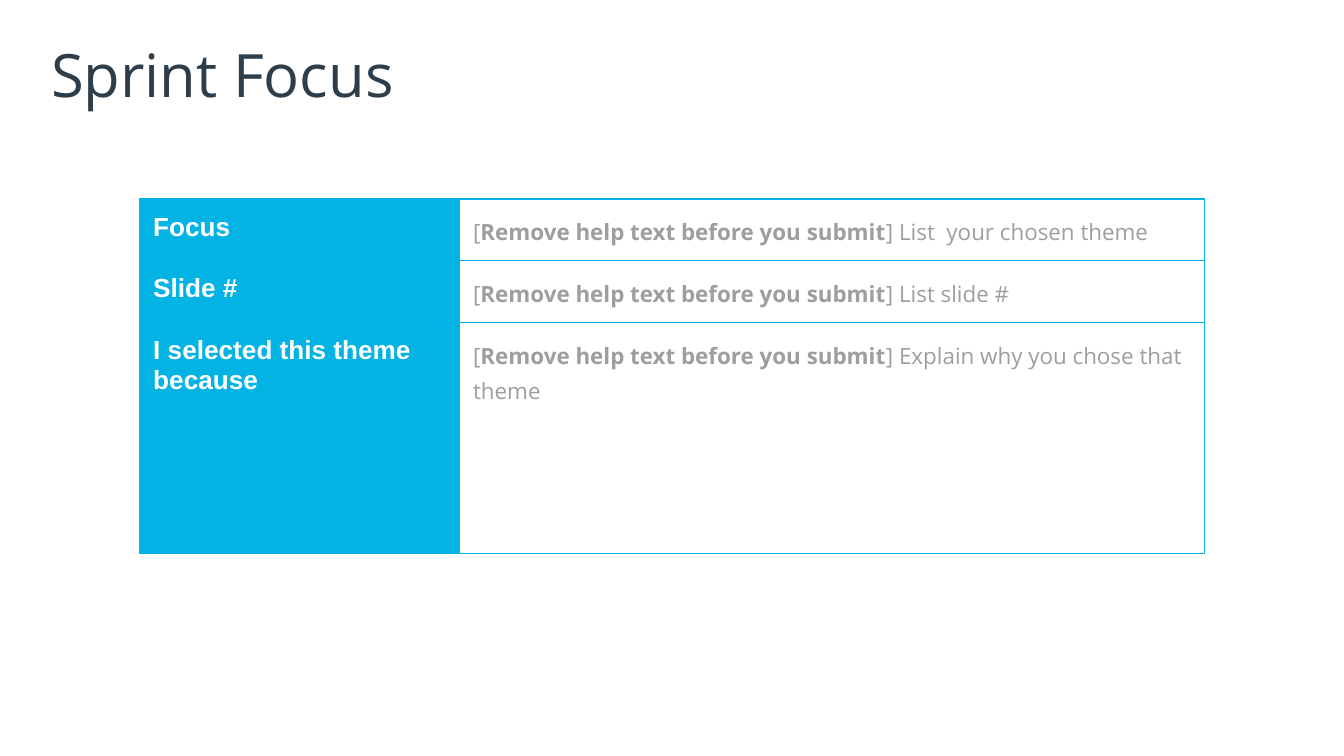
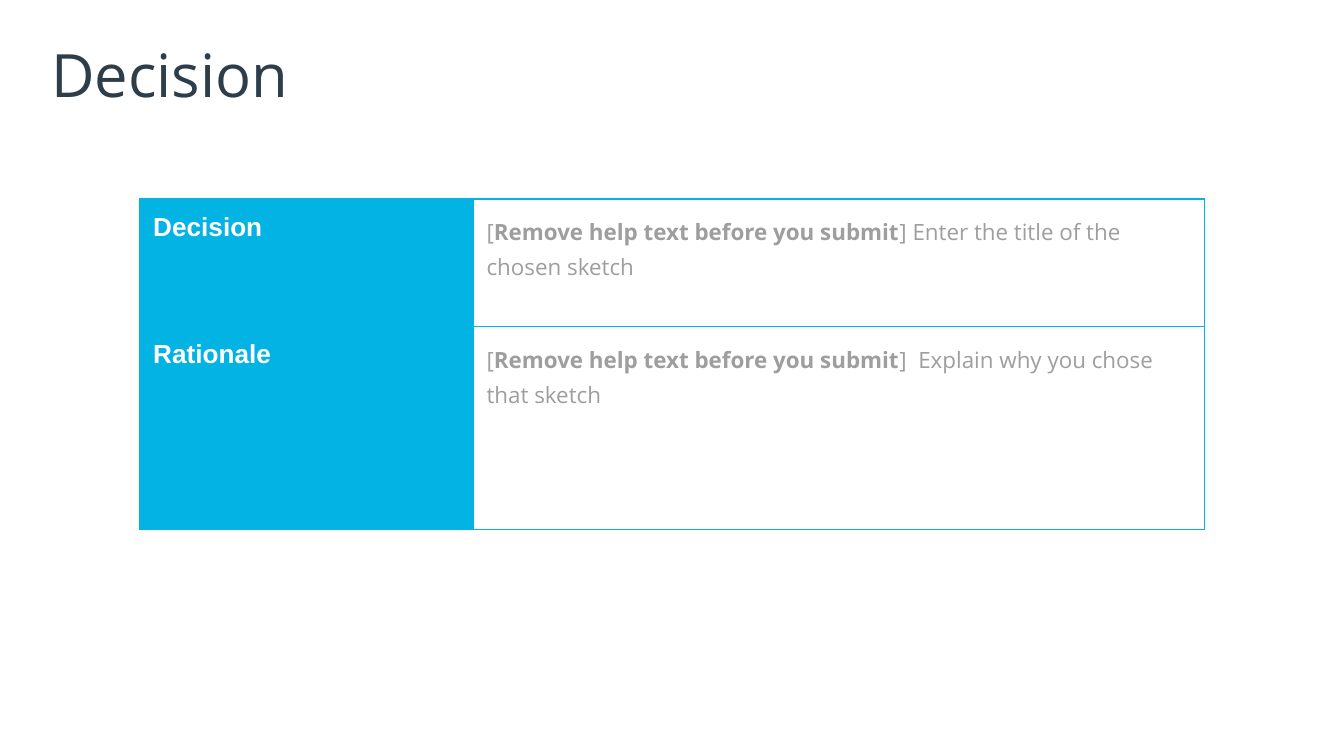
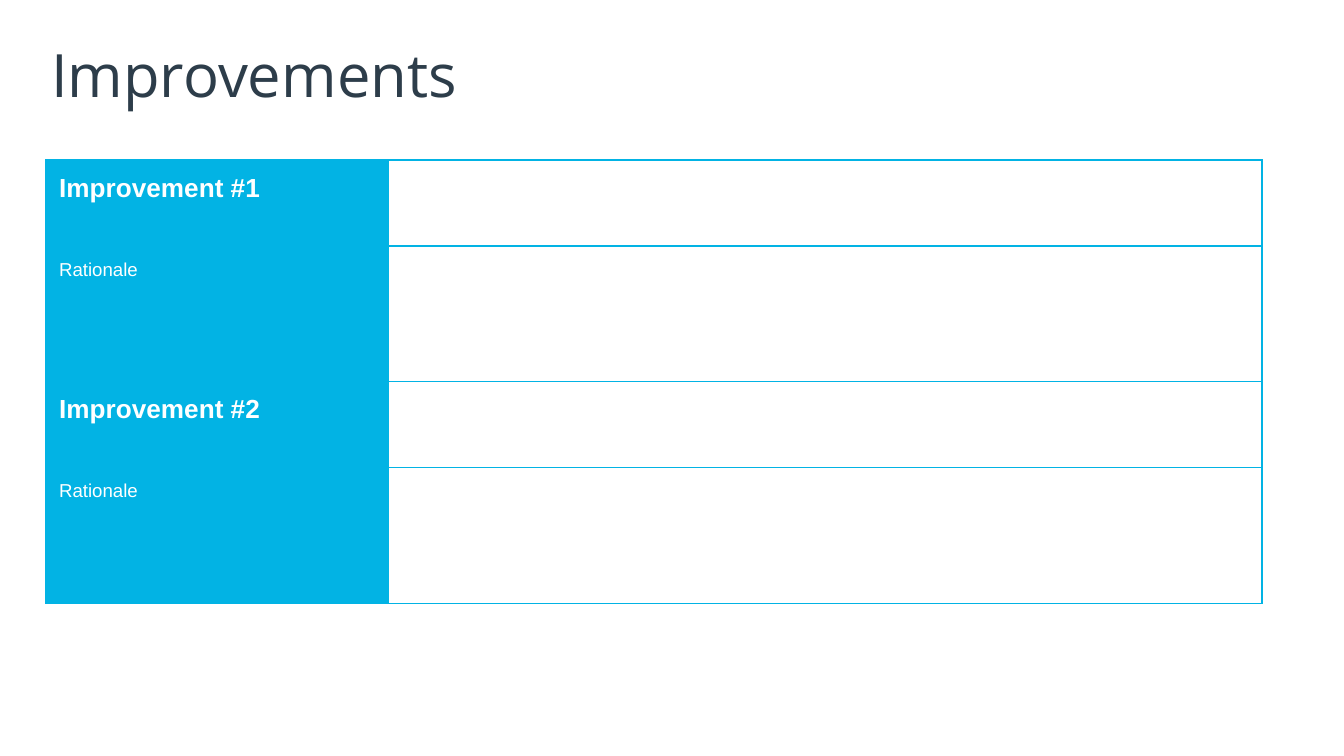
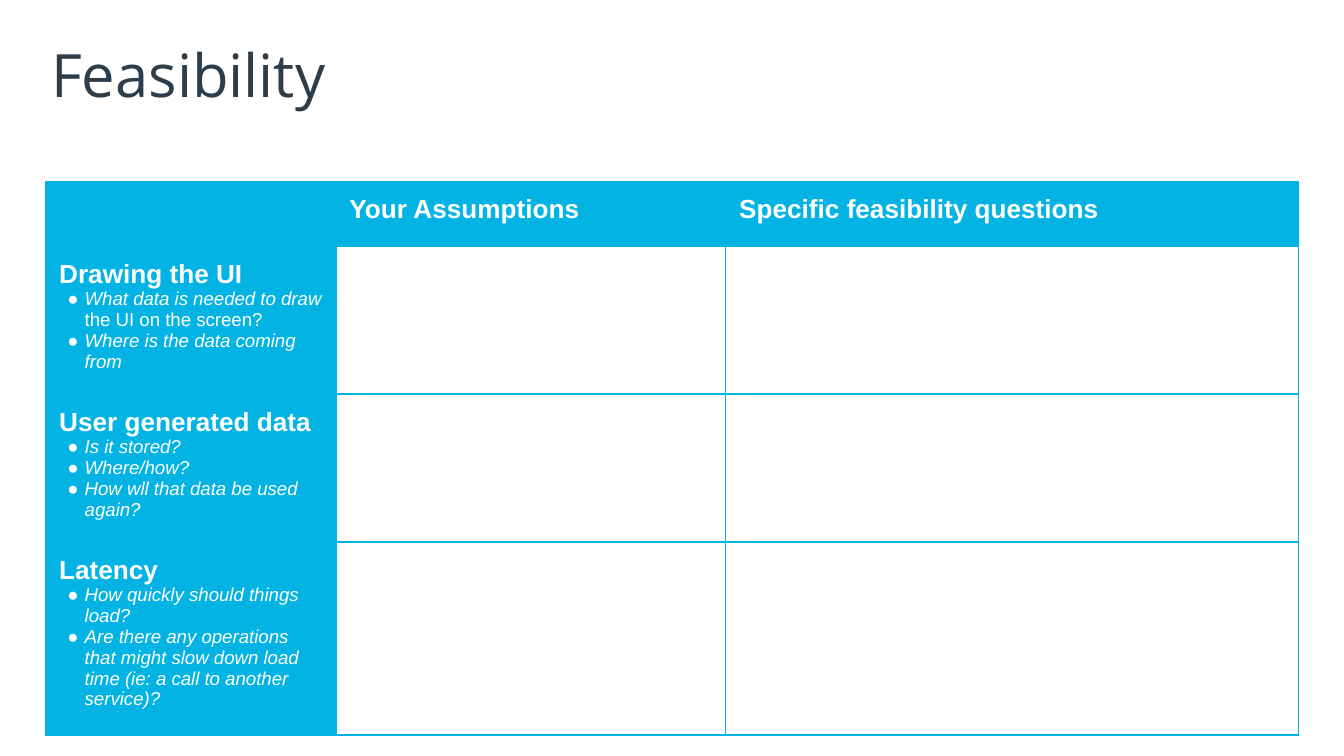
import pptx
import pptx.dml.color
import pptx.enum.text
import pptx.oxml
import pptx.oxml.ns
import pptx.util

Inches = pptx.util.Inches
COLORS = {"title": "2D3D4A", "accent": "02B3E4", "white": "FFFFFF", "help": "9E9E9E"}

# Text styles
TITLE = dict(size=32, font="Open Sans", color="title")
HEADING = dict(size=14, bold=True)
DETAIL = dict(size=10)
QUESTION = dict(size=10, italic=True)
HELP = dict(size=12, font="Open Sans", color="help")
HELP_BOLD = dict(HELP, bold=True)


def write(paragraph, text, size, font="Arial", color="white", bold=False, italic=False):
    run = paragraph.add_run()
    run.text = text
    run.font.size = pptx.util.Pt(size)
    run.font.name = font
    run.font.bold = bold
    run.font.italic = italic
    run.font.color.rgb = pptx.dml.color.RGBColor.from_string(COLORS[color])


def add_properties(parent, position, xml):
    namespace = pptx.oxml.ns.nsdecls("a")
    parent.insert(position, pptx.oxml.parse_xml(xml.replace("XMLNS", namespace, 1)))


# Cells: each is a list of paragraphs, each paragraph a list of (style, text) runs
HEAD = {
    name: [[(HEADING, name)]]
    for name in ("Focus", "Slide #", "I selected this theme because", "Decision", "Rationale",
                 "Improvement #1", "Improvement #2", "Your Assumptions",
                 "Specific feasibility questions")
}
RATIONALE = [[(DETAIL, "Rationale")]]
HINT = {
    name: [[(HELP, "["), (HELP_BOLD, "Remove help text before you submit"), (HELP, "] " + name)]]
    for name in ("List  your chosen theme", "List slide #", "Explain why you chose that theme",
                 "Enter the title of the chosen sketch", " Explain why you chose that sketch")
}
DRAWING = [
    [(HEADING, "Drawing the UI")],
    [(QUESTION, "What data is needed to draw "), (DETAIL, "the UI on the screen?")],
    [(QUESTION, "Where is the data coming from")],
]
USER_DATA = [
    [(HEADING, "User generated data")],
    [(QUESTION, "Is it stored?")],
    [(QUESTION, "Where/how?")],
    [(QUESTION, "How wll that data be used again?")],
]
LATENCY = [
    [(HEADING, "Latency")],
    [(QUESTION, "How quickly should things load?")],
    [(QUESTION, "Are there any operations that might slow down load time "
                "(ie: a call to another service)?")],
]
BULLET = (
    f'<a:buClr XMLNS><a:srgbClr val="{COLORS["white"]}"/></a:buClr>',
    '<a:buSzPts XMLNS val="1000"/>',
    '<a:buFont XMLNS typeface="Arial"/>',
    '<a:buChar XMLNS char="●"/>',
)

# Slides: title, table position, column widths, row heights, header row, cells
SLIDES = [
    ("Sprint Focus", (1.04, 1.48), (2.38, 5.54), (0.46, 0.46, 1.72), False, [
        [HEAD["Focus"], HINT["List  your chosen theme"]],
        [HEAD["Slide #"], HINT["List slide #"]],
        [HEAD["I selected this theme because"], HINT["Explain why you chose that theme"]],
    ]),
    ("Decision", (1.04, 1.48), (2.48, 5.44), (0.95, 1.51), False, [
        [HEAD["Decision"], HINT["Enter the title of the chosen sketch"]],
        [HEAD["Rationale"], HINT[" Explain why you chose that sketch"]],
    ]),
    ("Improvements", (0.34, 1.19), (2.55, 6.5), (0.64, 1.01, 0.64, 1.01), False, [
        [HEAD["Improvement #1"], []],
        [RATIONALE, []],
        [HEAD["Improvement #2"], []],
        [RATIONALE, []],
    ]),
    ("Feasibility", (0.34, 1.35), (2.16, 2.9, 4.26), (0.48, 1.04, 1.04, 1.35), True, [
        [[], HEAD["Your Assumptions"], HEAD["Specific feasibility questions"]],
        [DRAWING, [], []],
        [USER_DATA, [], []],
        [LATENCY, [], []],
    ]),
]

# Widescreen page, 16:9
presentation = pptx.Presentation()
presentation.slide_width = Inches(10)
presentation.slide_height = Inches(10 * 9 / 16)

for title, (left, top), widths, heights, has_header, rows in SLIDES:
    slide = presentation.slides.add_slide(presentation.slide_layouts[6])

    # Title
    title_box = slide.shapes.add_textbox(Inches(0.34), Inches(0.23), Inches(9.32), Inches(0.63))
    frame = title_box.text_frame
    frame.word_wrap = True
    frame.vertical_anchor = pptx.enum.text.MSO_ANCHOR.MIDDLE
    frame.margin_left = frame.margin_right = Inches(0.04)
    frame.margin_top = frame.margin_bottom = Inches(0.04)
    write(frame.paragraphs[0], title, **TITLE)

    # Table grid
    table = slide.shapes.add_table(
        len(heights), len(widths), Inches(left), Inches(top),
        Inches(sum(widths)), Inches(sum(heights))).table
    table.first_row = has_header
    table.horz_banding = False
    for column, width in zip(table.columns, widths):
        column.width = Inches(width)
    for row, height in zip(table.rows, heights):
        row.height = Inches(height)

    for row_index, row in enumerate(rows):
        for column_index, paragraphs in enumerate(row):
            cell = table.cell(row_index, column_index)

            # Fill and borders
            is_label = column_index == 0 or (has_header and row_index == 0)
            if is_label:
                cell.fill.solid()
                cell.fill.fore_color.rgb = pptx.dml.color.RGBColor.from_string(COLORS["accent"])
            else:
                cell.fill.background()
            for position, side in enumerate("LRTB"):
                add_properties(
                    cell._tc.get_or_add_tcPr(), position,
                    f'<a:ln{side} XMLNS w="{pptx.util.Pt(0.75)}"><a:solidFill>'
                    f'<a:srgbClr val="{COLORS["accent"]}"/></a:solidFill></a:ln{side}>')

            # Text
            if paragraphs:
                cell.margin_left = cell.margin_right = Inches(0.1)
                cell.margin_top = cell.margin_bottom = Inches(0.1)
            for index, runs in enumerate(paragraphs):
                frame = cell.text_frame
                paragraph = frame.add_paragraph() if index else frame.paragraphs[0]
                for style, text in runs:
                    write(paragraph, text, **style)
                if runs[0][0] is HELP:
                    paragraph.line_spacing = 1.15
                    paragraph.space_before = pptx.util.Pt(7)
                if runs[0][0] is QUESTION:
                    properties = paragraph._p.get_or_add_pPr()
                    properties.set("marL", str(Inches(0.19)))
                    properties.set("indent", str(Inches(-0.13)))
                    for position, xml in enumerate(BULLET):
                        add_properties(properties, position, xml)
                    add_properties(paragraph._p, len(paragraph._p),
                                   '<a:endParaRPr XMLNS sz="1000"/>')

presentation.save("out.pptx")
